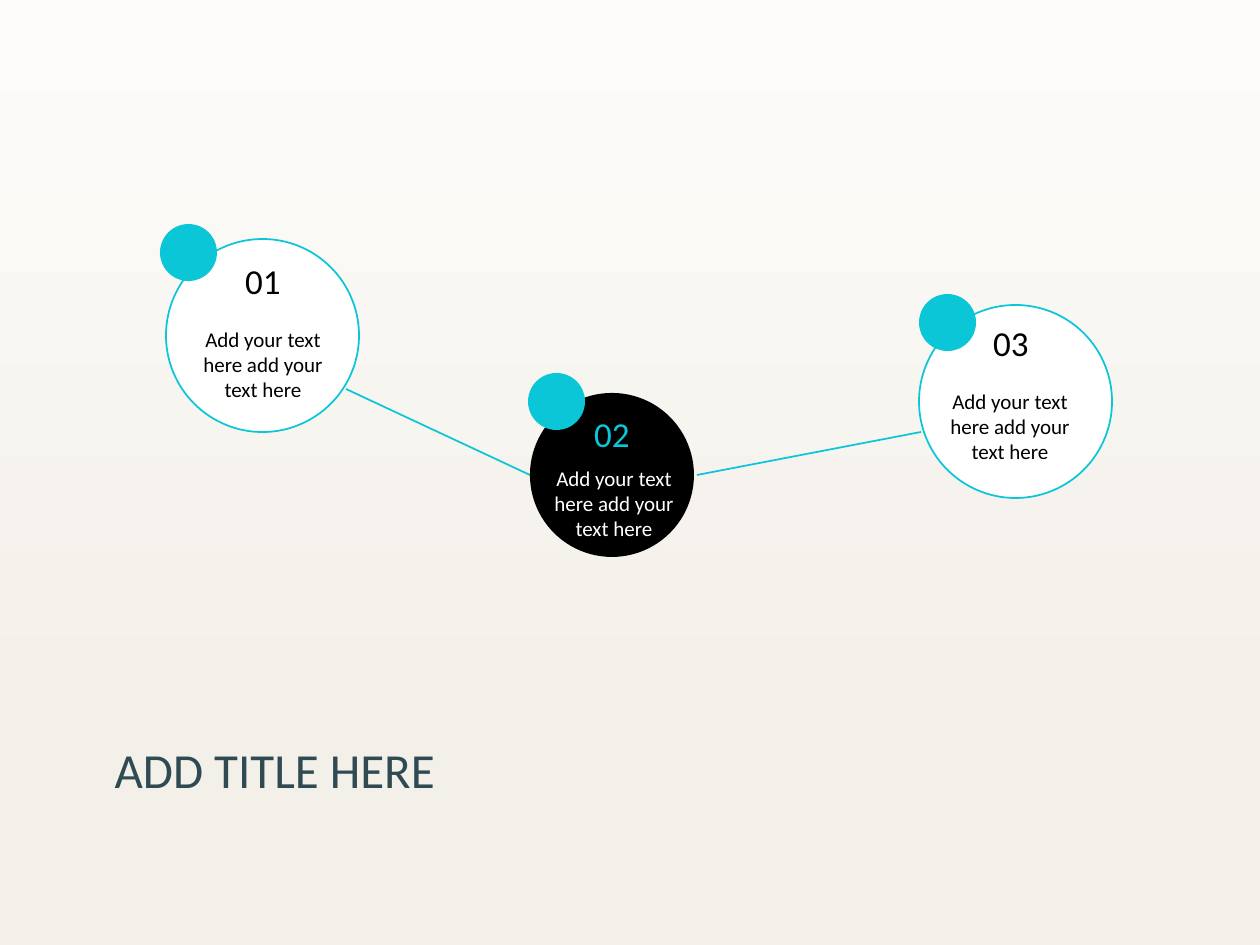
import pptx
import pptx.dml.color
import pptx.enum.shapes
import pptx.enum.text
import pptx.oxml
import pptx.oxml.ns
import pptx.util

ALIGN = pptx.enum.text.PP_ALIGN
SCALE = 914400 / 126  # EMU per px
FONT = "Calibri"
HEX = {"teal": "0BC6D7", "slate": "2F4A52", "black": "000000",
       "white": "FFFFFF", "sand": "F3F0E9", "cream": "FDFCFA"}
BADGE = 57
BODY = "Add your text here add your text here"

# number, circle (left, top, size), badge, number box and body corners,
# fill, outline, number colour, body colour
NODES = [
    ("01", (166, 239, 193), (160, 224), (215, 253), (183, 320),
     "white", "teal", "black", "black"),
    ("02", (530, 393, 164), (528, 373), (564, 406), (534, 459),
     "black", None, "teal", "white"),
    ("03", (919, 305, 193), (919, 294), (963, 315), (930, 382),
     "white", "teal", "black", "black"),
]
LINKS = [((346, 389), (530, 475)), ((697, 475), (921, 432))]


def emu(*px):
    return [pptx.util.Emu(round(n * SCALE)) for n in px]


def tint(name):
    return pptx.dml.color.RGBColor.from_string(HEX[name])


class Board:
    def __init__(self, slide):
        self.slide = slide
        self.shapes = slide.shapes

    def back(self, low, high):
        """Fill the background with a gradient that runs upwards."""
        fill = self.slide.background.fill
        fill.gradient()
        fill.gradient_angle = 90
        for stop, name, place in zip(fill.gradient_stops, (low, high), (0.23, 1)):
            stop.color.rgb = tint(name)
            stop.position = place

    def words(self, shape, text, size, color, align):
        frame = shape.text_frame
        frame.word_wrap = True
        frame.auto_size = pptx.enum.text.MSO_AUTO_SIZE.NONE
        frame.vertical_anchor = pptx.enum.text.MSO_ANCHOR.TOP
        para = frame.paragraphs[0]
        para.alignment = align
        run = para.add_run()
        run.text = text
        run.font.size = pptx.util.Pt(size)
        run.font.name = FONT
        run.font.color.rgb = tint(color)

    def title(self, text, box):
        shape = self.shapes.title
        shape.left, shape.top, shape.width, shape.height = emu(*box)
        self.words(shape, text, 28, "slate", ALIGN.LEFT)

    def label(self, text, box, size, color):
        self.words(self.shapes.add_textbox(*emu(*box)), text, size, color,
                   ALIGN.CENTER)

    def disc(self, left, top, size, fill, line=None):
        kind = pptx.enum.shapes.MSO_SHAPE.OVAL
        shape = self.shapes.add_shape(kind, *emu(left, top, size, size))
        shape.shadow.inherit = False
        shape.fill.solid()
        shape.fill.fore_color.rgb = tint(fill)
        if line:
            shape.line.color.rgb = tint(line)
            shape.line.width = pptx.util.Pt(1)
        else:
            shape.line.fill.background()

    def link(self, start, end):
        kind = pptx.enum.shapes.MSO_CONNECTOR.STRAIGHT
        line = self.shapes.add_connector(kind, *emu(*start, *end))
        line.line.color.rgb = tint("teal")
        line.line.width = pptx.util.Pt(1)
        props = line._element.spPr
        props.append(pptx.oxml.parse_xml(
            "<a:effectLst %s/>" % pptx.oxml.ns.nsdecls("a")))

    def node(self, number, disc, badge, head, body, fill, line, accent, ink):
        self.disc(*disc, fill, line)
        self.label(BODY, (*body, 160, 89), 12, ink)
        self.label(number, (*head, 96, 55), 20, accent)
        self.disc(*badge, BADGE, "teal")


def main():
    deck = pptx.Presentation()
    deck.slide_width, deck.slide_height = emu(1260, 945)
    board = Board(deck.slides.add_slide(deck.slide_layouts[5]))
    board.back("sand", "cream")
    board.title("ADD TITLE HERE", (102, 733, 399, 72))
    for start, end in LINKS:
        board.link(start, end)
    for node in NODES:
        board.node(*node)
    deck.save("out.pptx")


if __name__ == "__main__":
    main()
